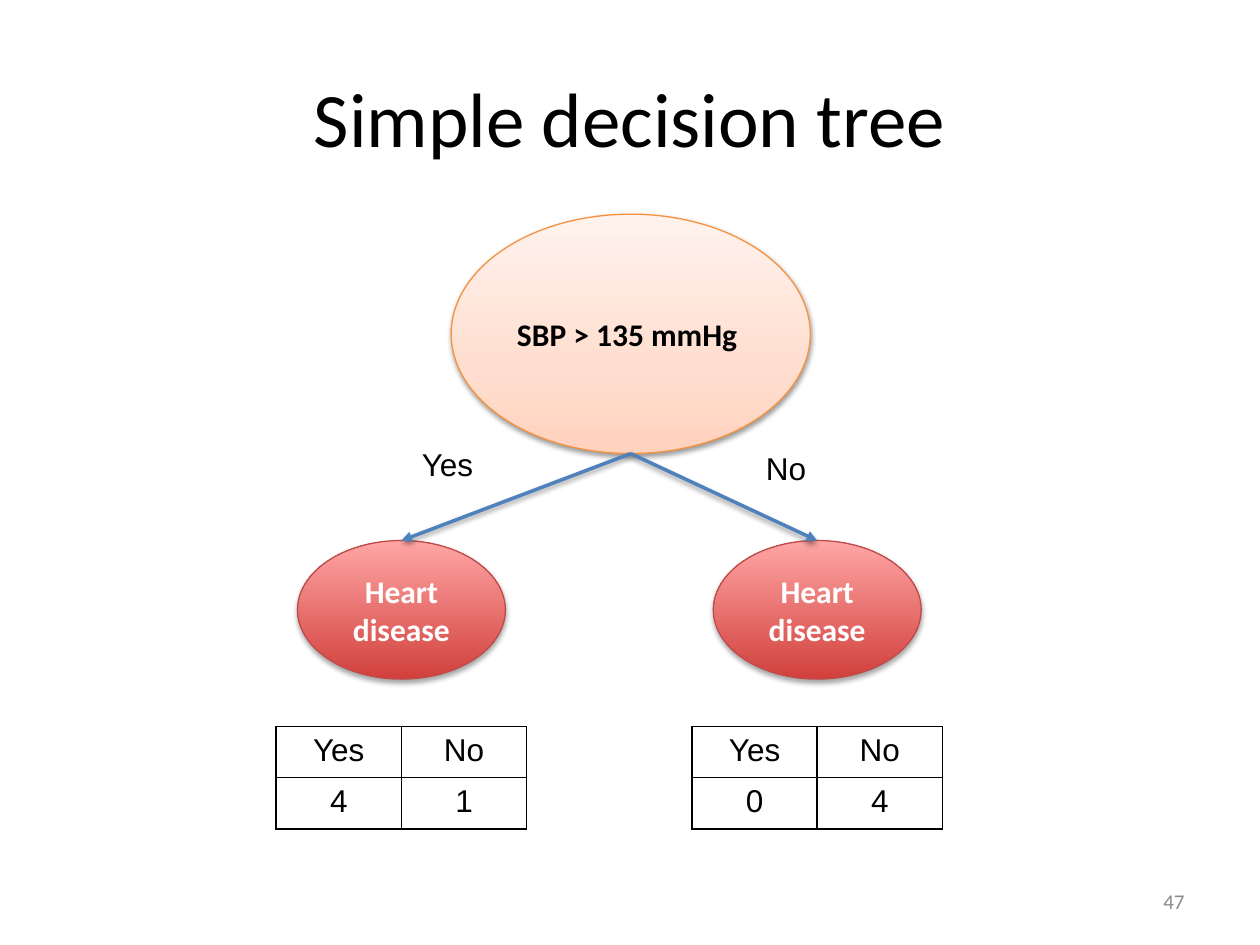
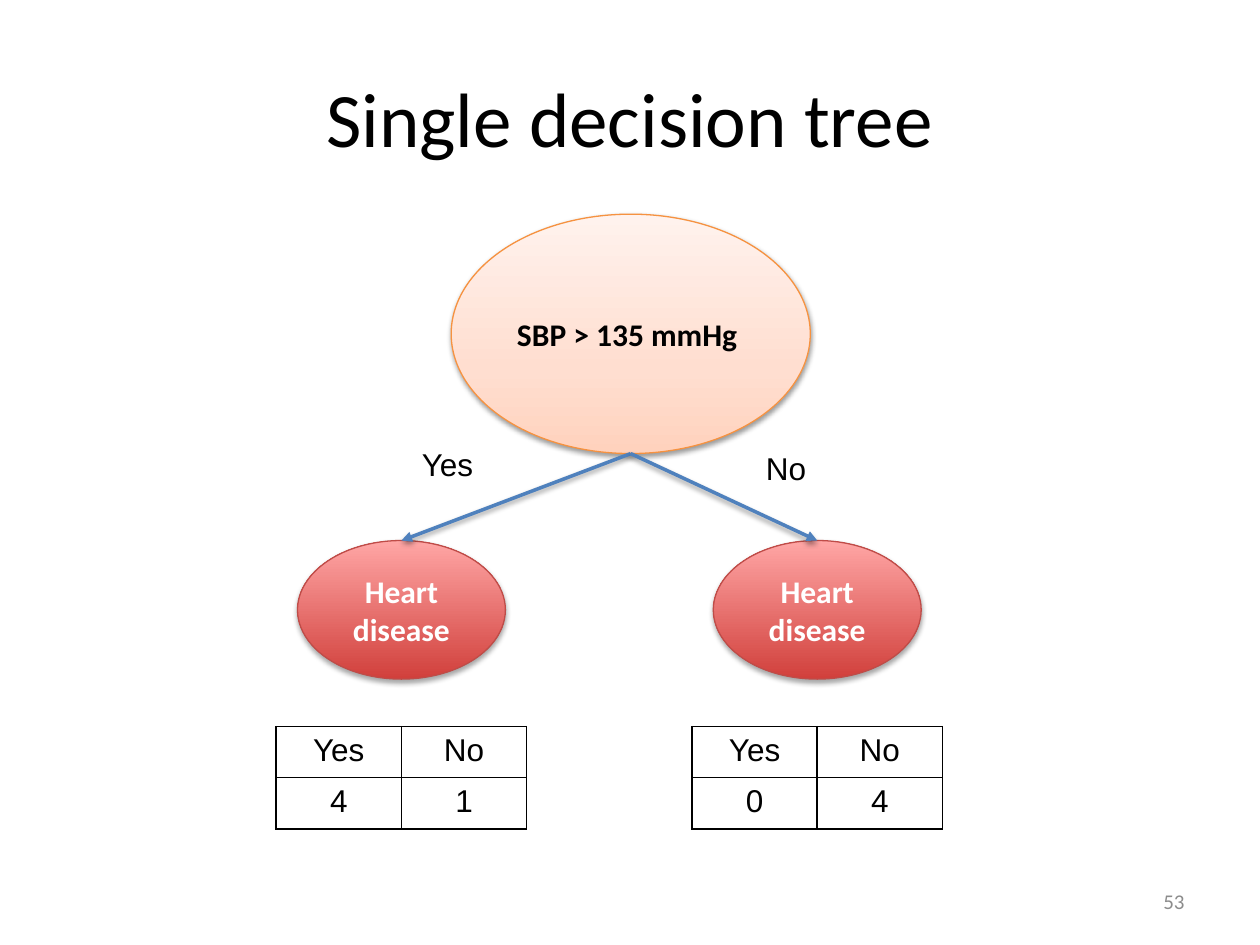
from copy import deepcopy

from pptx import Presentation
from pptx.dml.color import RGBColor
from pptx.enum import shapes, text
from pptx.oxml import parse_xml
from pptx.oxml.ns import nsdecls
from pptx.util import Pt

# Shared look
BLACK = RGBColor(0x00, 0x00, 0x00)
WHITE = RGBColor(0xFF, 0xFF, 0xFF)
GREY = RGBColor(0x8C, 0x8C, 0x8C)
BLUE = RGBColor(0x4F, 0x81, 0xBD)
ORANGE = RGBColor(0xF6, 0x92, 0x40)
RED = RGBColor(0xBF, 0x4C, 0x48)
PEACH_STOPS = [(0, RGBColor(0xFF, 0xD2, 0xBD)),
               (0.35, RGBColor(0xFF, 0xDE, 0xD0)),
               (1, RGBColor(0xFF, 0xF2, 0xED))]
RED_STOPS = [(0, RGBColor(0xD1, 0x40, 0x3C)),
             (1, RGBColor(0xFF, 0xA6, 0xA5))]
HEADING, BODY = "Calibri", "Arial"
CENTER, RIGHT = text.PP_ALIGN.CENTER, text.PP_ALIGN.RIGHT
MIDDLE = text.MSO_ANCHOR.MIDDLE

# Tree geometry in points
ROOT_X, ROOT_TOP, ROOT_W, ROOT_H = 360.4, 122.4, 205.2, 136.8
LEAF_TOP, LEAF_W, LEAF_H = 308.9, 118.8, 79.2
TABLE_TOP, COL_W, ROW_H = 415.2, 71.6, 29.2

# Per branch: centre, label, label left, label top, label width, counts
BRANCHES = [(229.4, "Yes", 234, 250.6, 74.9, ("4", "1")),
            (467, "No", 430.6, 252.9, 66.2, ("0", "4"))]


def write(tf, content, size=18, font=BODY, color=BLACK, bold=False,
          align=None, anchor=None):
    tf.word_wrap = True
    if anchor is not None:
        tf.vertical_anchor = anchor
    p = tf.paragraphs[0]
    p.alignment = align
    r = p.add_run()
    r.text = content
    r.font.size, r.font.name, r.font.bold = Pt(size), font, bold
    r.font.color.rgb = color


def add_label(s, content, left, top, width, height=28.8, **fmt):
    box = s.shapes.add_textbox(Pt(left), Pt(top), Pt(width), Pt(height))
    write(box.text_frame, content, **fmt)


def add_shadow(sp, alpha=38, distance=1.6):
    sp._element.spPr.append(parse_xml(
        f'<a:effectLst {nsdecls("a")}><a:outerShdw blurRad="{Pt(3.1)}" '
        f'dist="{Pt(distance)}" dir="5400000" rotWithShape="0">'
        f'<a:srgbClr val="000000"><a:alpha val="{alpha * 1000}"/></a:srgbClr>'
        '</a:outerShdw></a:effectLst>'))


def fill_gradient(sp, stops):
    sp.fill.gradient()
    sp.fill.gradient_angle = 90
    stop_list = sp._element.spPr.find(".//" + "{*}gsLst")
    for _ in stops[2:]:
        stop_list.append(deepcopy(stop_list[0]))
    for stop, (position, color) in zip(sp.fill.gradient_stops, stops):
        stop.position = position
        stop.color.rgb = color


def add_node(s, content, center, top, width, height, stops, line, color,
             **shadow):
    sp = s.shapes.add_shape(shapes.MSO_SHAPE.OVAL, Pt(center - width / 2),
                            Pt(top), Pt(width), Pt(height))
    fill_gradient(sp, stops)
    sp.line.color.rgb = line
    sp.line.width = Pt(0.75)
    add_shadow(sp, **shadow)
    write(sp.text_frame, content, font=HEADING, color=color, bold=True,
          align=CENTER, anchor=MIDDLE)


def add_arrow(s, x1, y1, x2, y2):
    line = s.shapes.add_connector(shapes.MSO_CONNECTOR.STRAIGHT,
                                  Pt(x1), Pt(y1), Pt(x2), Pt(y2))
    line.line.color.rgb = BLUE
    line.line.width = Pt(2)
    line.line._get_or_add_ln().append(
        parse_xml(f'<a:tailEnd {nsdecls("a")} type="triangle"/>'))
    add_shadow(line)


def add_borders(cell):
    tc_pr = cell._tc.get_or_add_tcPr()
    for i, side in enumerate(("lnL", "lnR", "lnT", "lnB")):
        tc_pr.insert(i, parse_xml(
            f'<a:{side} {nsdecls("a")} w="{Pt(1)}"><a:solidFill>'
            f'<a:srgbClr val="{BLACK}"/></a:solidFill></a:{side}>'))


def add_count_table(s, center, counts):
    rows = [("Yes", "No"), counts]
    table = s.shapes.add_table(2, 2, Pt(center - COL_W), Pt(TABLE_TOP),
                               Pt(2 * COL_W), Pt(2 * ROW_H)).table
    table.first_row = table.horz_banding = False
    for y, row in enumerate(rows):
        for x, value in enumerate(row):
            cell = table.cell(y, x)
            cell.fill.background()
            add_borders(cell)
            write(cell.text_frame, value, align=CENTER)


def add_tree_slide(prs, title, number):
    s = prs.slides.add_slide(prs.slide_layouts[5])

    # Title and slide number
    sp = s.shapes.title
    sp.left, sp.top, sp.width, sp.height = Pt(36), Pt(21.6), Pt(648), Pt(90)
    write(sp.text_frame, title, size=44, font=HEADING, align=CENTER,
          anchor=MIDDLE)
    add_label(s, number, 516, 500.4, 168, size=12, font=HEADING, color=GREY,
              align=RIGHT, anchor=MIDDLE)

    # Root, then both branches with their outcome counts
    add_node(s, "SBP > 135 mmHg ", ROOT_X, ROOT_TOP, ROOT_W, ROOT_H,
             PEACH_STOPS, ORANGE, BLACK)
    for center, label, left, top, width, counts in BRANCHES:
        add_node(s, "Heart disease", center, LEAF_TOP, LEAF_W, LEAF_H,
                 RED_STOPS, RED, WHITE, alpha=35, distance=1.8)
        add_arrow(s, ROOT_X, ROOT_TOP + ROOT_H, center, LEAF_TOP)
        add_label(s, label, left, top, width)
        add_count_table(s, center, counts)


def main():
    prs = Presentation()
    prs.slide_width, prs.slide_height = Pt(720), Pt(540)
    add_tree_slide(prs, "Simple decision tree", "47")
    add_tree_slide(prs, "Single decision tree", "53")
    prs.save("out.pptx")


if __name__ == "__main__":
    main()
